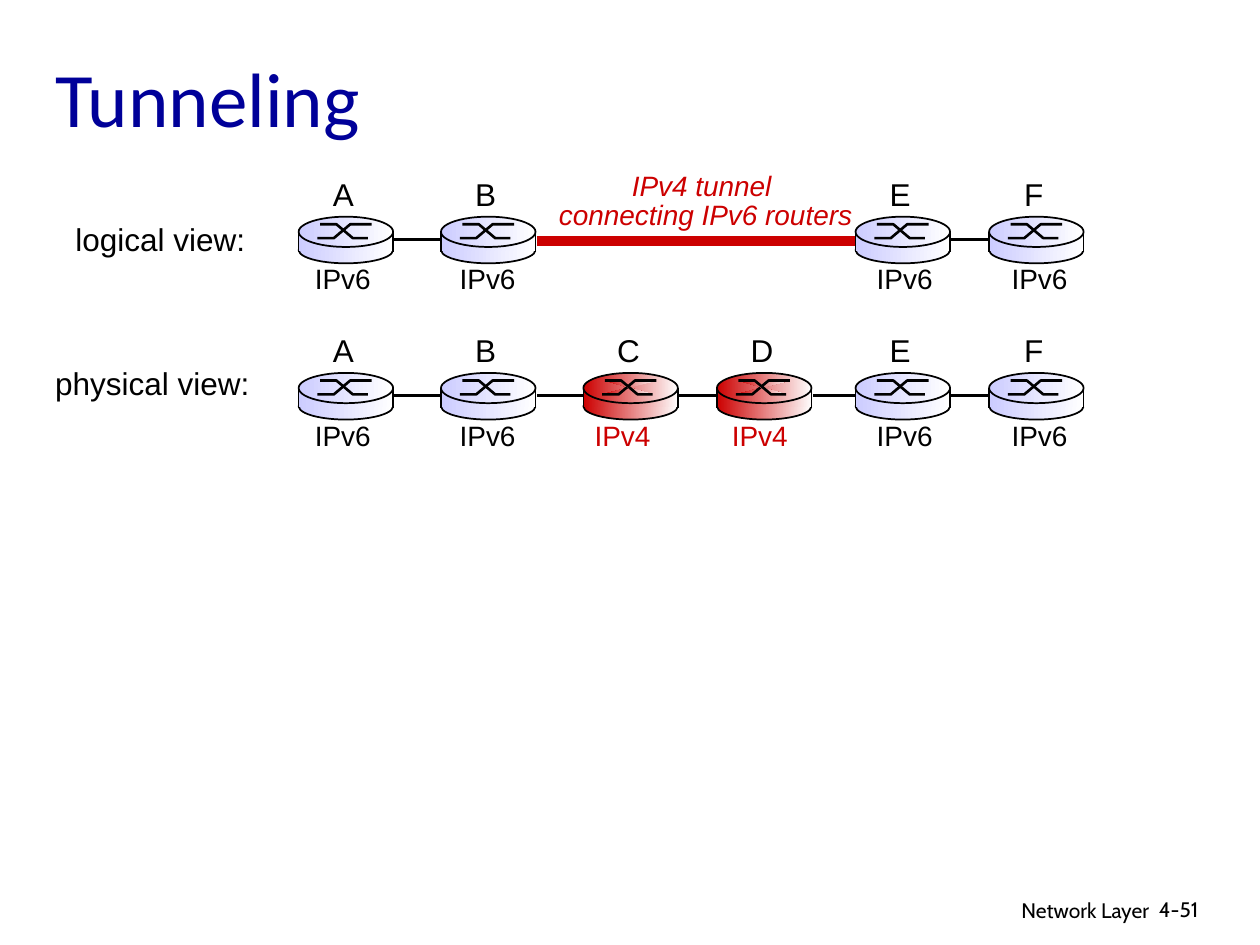
from pptx import Presentation
from pptx.dml.color import RGBColor
from pptx.enum.shapes import MSO_CONNECTOR, MSO_SHAPE
from pptx.enum.text import MSO_ANCHOR, PP_ALIGN
from pptx.oxml.ns import qn
from pptx.util import Inches, Pt
from lxml import etree

STRAIGHT = MSO_CONNECTOR.STRAIGHT
ELLIPSE, RECTANGLE = MSO_SHAPE.OVAL, MSO_SHAPE.RECTANGLE
LEFT, CENTER, RIGHT = PP_ALIGN.LEFT, PP_ALIGN.CENTER, PP_ALIGN.RIGHT
TOP, MIDDLE = MSO_ANCHOR.TOP, MSO_ANCHOR.MIDDLE

BLACK = RGBColor(0x00, 0x00, 0x00)
WHITE = RGBColor(0xFF, 0xFF, 0xFF)
NAVY = RGBColor(0x00, 0x00, 0x99)
RED = RGBColor(0xCC, 0x00, 0x00)
LAVENDER = RGBColor(0xCC, 0xCC, 0xFF)

# Grid: router columns (left edge, left of the version label) and view rows
COLUMNS = {
    "A": (2.37, 2.4), "B": (3.5, 3.55), "C": (4.63, 4.62),
    "D": (5.69, 5.71), "E": (6.79, 6.86), "F": (7.85, 7.93),
}
LOGICAL_ROW, PHYSICAL_ROW = 1.72, 2.96
ROUTER_WIDTH = 0.75
LINK_DROP = 0.18  # from the top of a router to its links


def add_text(slide, box, lines, size, color=BLACK, font="Arial", align=LEFT,
             anchor=TOP, wrap=False, italic=False, spacing=None):
    textbox = slide.shapes.add_textbox(*map(Inches, box))
    frame = textbox.text_frame
    frame.word_wrap = wrap
    frame.vertical_anchor = anchor
    frame.text = lines
    for paragraph in frame.paragraphs:
        paragraph.alignment = align
        paragraph.line_spacing = spacing
        paragraph.font.size = Pt(size)
        paragraph.font.name = font
        paragraph.font.italic = italic
        paragraph.font.color.rgb = color


def add_line(shapes, start, end, width):
    line = shapes.add_connector(STRAIGHT, *map(Inches, (*start, *end)))
    line.line.color.rgb = BLACK
    line.line.width = Pt(width)
    etree.SubElement(line._element.spPr, qn("a:effectLst"))


def fill_gradient(shape, color):
    shape.fill.gradient()
    shape.fill.gradient_angle = 0
    for stop, stop_color in zip(shape.fill.gradient_stops, (color, WHITE)):
        stop.color.rgb = stop_color


def set_outline(shape, width):
    shape.shadow.inherit = False
    shape.line.color.rgb = BLACK
    shape.line.width = Pt(width)


def add_router(slide, left, top, color):
    shapes = slide.shapes.add_group_shape().shapes
    # Cylinder: base, body without outline, lid
    for kind, drop, width, height in ((ELLIPSE, 0.16, ROUTER_WIDTH, 0.21),
                                      (RECTANGLE, 0.14, 0.76, 0.13),
                                      (ELLIPSE, 0, ROUTER_WIDTH, 0.24)):
        part = shapes.add_shape(kind, *map(Inches, (left, top + drop, width, height)))
        fill_gradient(part, color)
        set_outline(part, 1)
        if kind == RECTANGLE:
            part.line.fill.background()
    # Crossing paths on the lid
    high, low = top + 0.06, top + 0.17
    for offsets, first, last in (((0.15, 0.28, 0.41, 0.58), low, high),
                                 ((0.17, 0.3, 0.43, 0.55), high, low)):
        points = [(Inches(left + x), Inches(y))
                  for x, y in zip(offsets, (first, first, last, last))]
        builder = shapes.build_freeform(*points[0])
        builder.add_line_segments(points[1:], close=False)
        crossing = builder.convert_to_shape()
        if color == RED:
            fill_gradient(crossing, color)
        else:
            crossing.fill.background()
        set_outline(crossing, 1.5)
    # Cylinder sides
    for x in (left, left + ROUTER_WIDTH):
        add_line(shapes, (x, top + 0.12), (x, top + 0.28), 1)


def add_view(slide, top, names, links):
    for start, end in links:
        x1 = COLUMNS[start][0] + ROUTER_WIDTH
        add_line(slide.shapes, (x1, top + LINK_DROP),
                 (COLUMNS[end][0], top + LINK_DROP), 1.5)
    for name in names:
        left, version_left = COLUMNS[name]
        tunnelled = name in "CD"
        add_router(slide, left, top, RED if tunnelled else LAVENDER)
        add_text(slide, (left + 0.17, top - 0.38, 0.37, 0.4), name, 18, align=CENTER)
        add_text(slide, (version_left, top + 0.31, 0.65, 0.37),
                 "IPv4" if tunnelled else "IPv6", 16, RED if tunnelled else BLACK)


def add_tunnel(slide):
    tunnel = slide.shapes.add_shape(
        RECTANGLE, *map(Inches, (4.21, LOGICAL_ROW + 0.16, 2.63, 0.07)))
    tunnel.shadow.inherit = False
    tunnel.fill.solid()
    tunnel.fill.fore_color.rgb = RED
    tunnel.line.color.rgb = RED
    tunnel.line.width = Pt(0.75)
    add_text(slide, (4.33, 1.33, 2.54, 0.56), "IPv4 tunnel \nconnecting IPv6 routers",
             16, RED, align=CENTER, italic=True, spacing=0.85)


def main():
    presentation = Presentation()
    presentation.slide_width, presentation.slide_height = Inches(10), Inches(7.5)
    slide = presentation.slides.add_slide(presentation.slide_layouts[6])

    # Title and footer
    add_text(slide, (0.34, 0.23, 8.5, 1.08), "Tunneling", 44, NAVY, "Calibri",
             anchor=MIDDLE, wrap=True)
    add_text(slide, (6.05, 7.07, 3.17, 0.31), "Network Layer", 12, font="Cabin",
             align=RIGHT, wrap=True)
    add_text(slide, (9.1, 7.07, 0.74, 0.3), "4-51", 12, font="Cabin", wrap=True)

    # Logical view
    add_text(slide, (0.5, 1.7, 1.55, 0.4), "logical view:", 18)
    add_tunnel(slide)
    add_view(slide, LOGICAL_ROW, "ABEF", ("AB", "EF"))

    # Physical view
    add_text(slide, (0.34, 2.84, 1.74, 0.4), "physical view:", 18)
    names = "ABCDEF"
    add_view(slide, PHYSICAL_ROW, names, zip(names, names[1:]))

    presentation.save("out.pptx")


if __name__ == "__main__":
    main()
